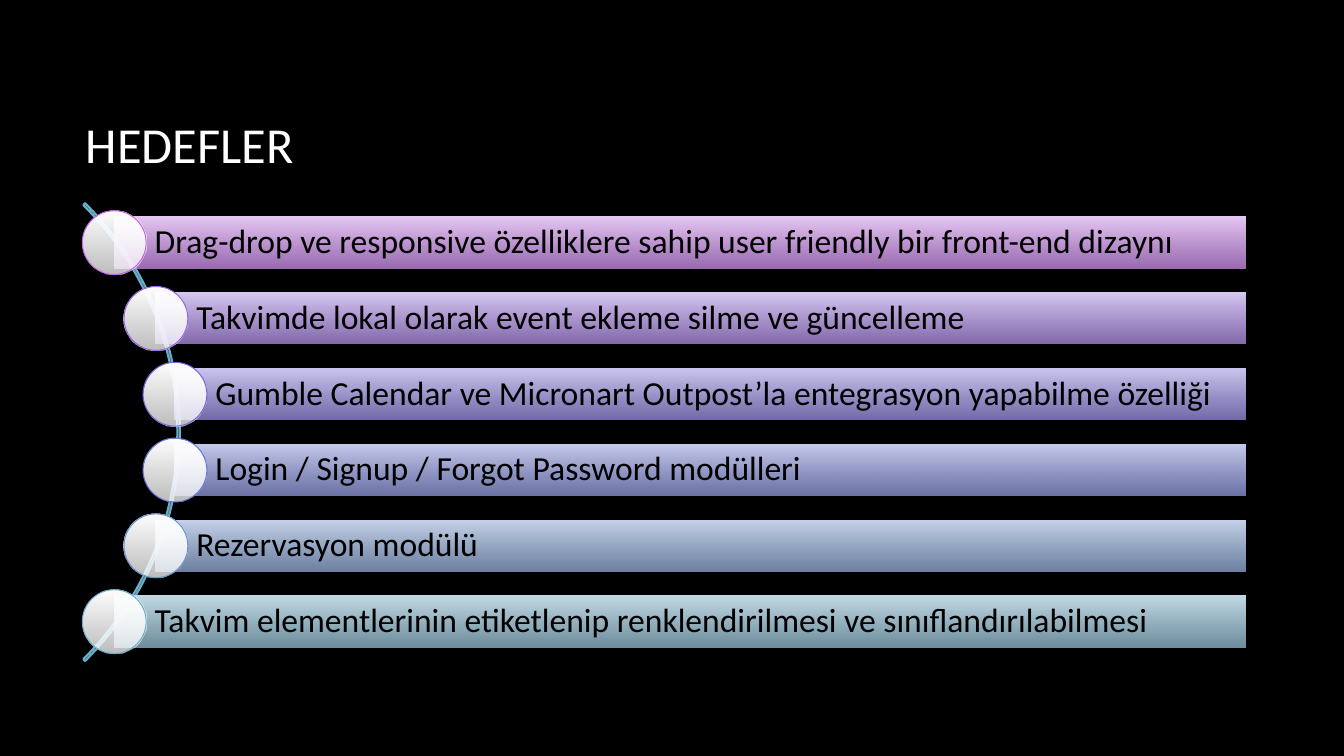
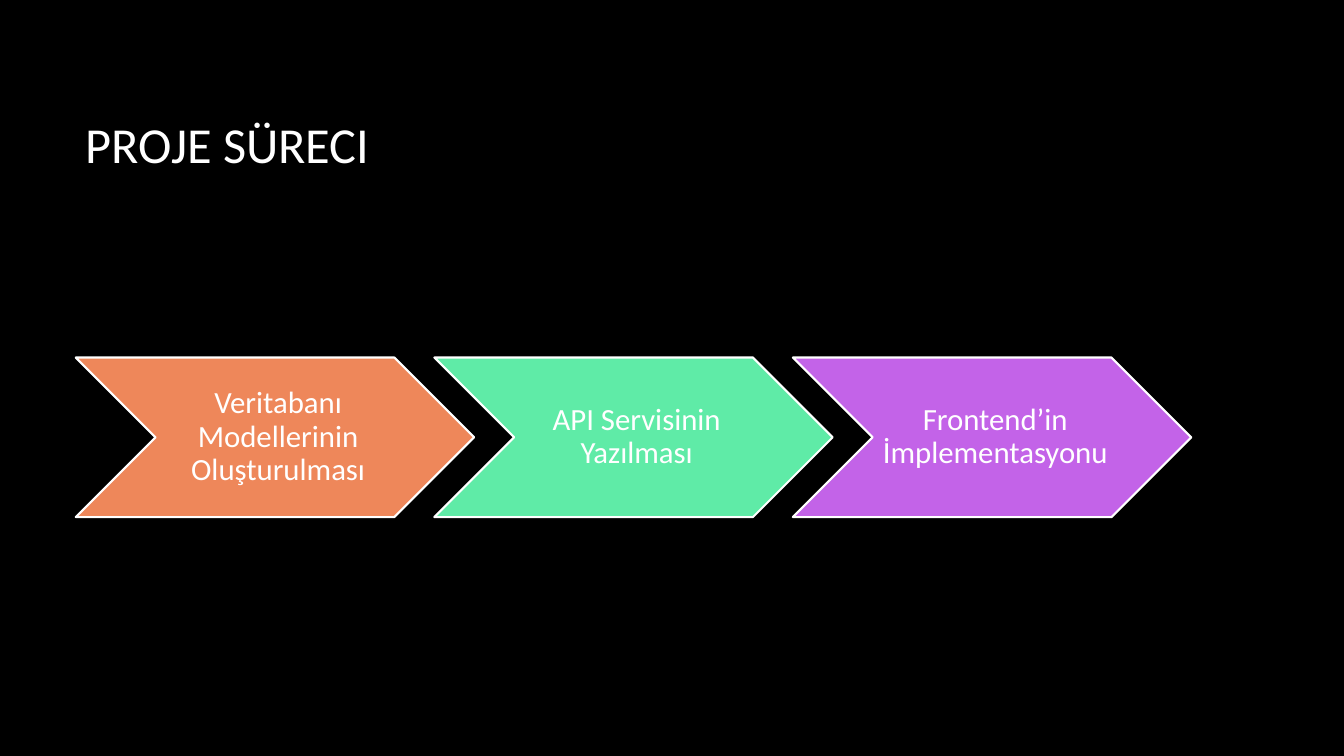
from lxml.etree import SubElement
from pptx import Presentation
from pptx.dml.color import RGBColor
from pptx.enum.shapes import MSO_SHAPE as Shape
from pptx.enum.text import MSO_ANCHOR as Anchor, PP_ALIGN as Align
from pptx.oxml.ns import qn
from pptx.util import Cm, Pt

FONT = "Calibri"
BLACK = RGBColor(0x00, 0x00, 0x00)
WHITE = RGBColor(0xFF, 0xFF, 0xFF)
ARC_BLUE = RGBColor(0x6A, 0xAD, 0xC8)
ORANGE = RGBColor(0xEE, 0x87, 0x5A)
GREEN = RGBColor(0x5F, 0xEB, 0xA7)
PURPLE = RGBColor(0xC3, 0x63, 0xE8)

GOALS_TITLE = "HEDEFLER"
# text, left edge of the bar in cm, bar top colour, bar bottom colour, dot outline
GOALS = [
    ("Drag-drop ve responsive özelliklere sahip user friendly bir front-end dizaynı",
     2.88, RGBColor(0xE7, 0xCA, 0xF5), RGBColor(0xCF, 0x91, 0xEC), PURPLE),
    ("Takvimde lokal olarak event ekleme silme ve güncelleme",
     3.93, RGBColor(0xD8, 0xC9, 0xF3), RGBColor(0xB2, 0x91, 0xE8), RGBColor(0x9B, 0x64, 0xE2)),
    ("Gumble Calendar ve Micronart Outpost’la entegrasyon yapabilme özelliği",
     4.41, RGBColor(0xCC, 0xC7, 0xF0), RGBColor(0x9C, 0x92, 0xE3), RGBColor(0x77, 0x65, 0xDC)),
    ("Login / Signup / Forgot Password modülleri",
     4.41, RGBColor(0xC6, 0xCA, 0xED), RGBColor(0x93, 0x9B, 0xDE), RGBColor(0x66, 0x76, 0xD6)),
    ("Rezervasyon modülü",
     3.93, RGBColor(0xC6, 0xD3, 0xE9), RGBColor(0x94, 0xAE, 0xD9), RGBColor(0x68, 0x94, 0xCF)),
    ("Takvim elementlerinin etiketlenip renklendirilmesi ve sınıflandırılabilmesi",
     2.88, RGBColor(0xC5, 0xDB, 0xE6), RGBColor(0x95, 0xBF, 0xD3), ARC_BLUE),
]

PROCESS_TITLE = "PROJE SÜRECI"
STEPS = [
    ("Veritabanı Modellerinin Oluşturulması", ORANGE),
    ("API Servisinin Yazılması", GREEN),
    ("Frontend’in İmplementasyonu", PURPLE),
]

# Lengths in cm
MARGIN_LEFT = 1.91
BAR_TOP, BAR_HEIGHT, BAR_PITCH, BAR_RIGHT = 5.47, 1.29, 1.91, 31.4
DOT_SIZE = 1.61
ARC_CENTRE_X, ARC_SIZE = -3.62, 16.31
STEP_TOP, STEP_WIDTH, STEP_HEIGHT = 9.01, 10.04, 4.02
STEP_PITCH = 0.9 * STEP_WIDTH


def write(shape, text, size, color, align=Align.LEFT, insets=(0.25, 0.13, 0.25, 0.13)):
    """Put one paragraph in the shape; insets are left, top, right, bottom in cm."""
    frame = shape.text_frame
    frame.word_wrap = True
    frame.vertical_anchor = Anchor.MIDDLE
    (frame.margin_left, frame.margin_top,
     frame.margin_right, frame.margin_bottom) = map(Cm, insets)
    para = frame.paragraphs[0]
    para.text = text
    para.alignment = align
    para.line_spacing = 0.9
    para.font.name, para.font.size = FONT, Pt(size)
    para.font.color.rgb = color


def add_page(deck, title):
    page = deck.slides.add_slide(deck.slide_layouts[6])
    page.background.fill.solid()
    page.background.fill.fore_color.rgb = BLACK
    box = page.shapes.add_textbox(Cm(MARGIN_LEFT), Cm(1.7), Cm(28.14), Cm(4.04))
    write(box, title, 36, WHITE)
    return page


def add_outlined(page, kind, left, top, width, height, line=None, line_width=0.75):
    """Add an unfilled preset shape, lengths in cm, with an optional outline."""
    shape = page.shapes.add_shape(kind, Cm(left), Cm(top), Cm(width), Cm(height))
    shape.shadow.inherit = False
    shape.fill.background()
    if line is None:
        shape.line.fill.background()
    else:
        shape.line.color.rgb = line
        shape.line.width = Pt(line_width)
    return shape


def fill_downward(shape, top_color, bottom_color):
    """Fade from a solid top colour to a bottom colour of 74 % opacity."""
    shape.fill.gradient()
    shape.fill.gradient_angle = 270
    for stop, color in zip(shape.fill.gradient_stops, (top_color, bottom_color)):
        stop.color.rgb = color
    bottom = shape.element.spPr.findall(".//" + qn("a:srgbClr"))[1]
    SubElement(bottom, qn("a:alpha"), val="74000")


def build_goals(deck):
    page = add_page(deck, GOALS_TITLE)
    centre_y = BAR_TOP + BAR_HEIGHT / 2 + BAR_PITCH * (len(GOALS) - 1) / 2
    arc = add_outlined(page, Shape.BLOCK_ARC, ARC_CENTRE_X - ARC_SIZE / 2,
                       centre_y - ARC_SIZE / 2, ARC_SIZE, ARC_SIZE, ARC_BLUE, 1.5)
    for index, value in enumerate((189, 27, 0.004)):
        arc.adjustments[index] = value

    for row, (text, left, top_color, bottom_color, outline) in enumerate(GOALS):
        top = BAR_TOP + row * BAR_PITCH
        bar = add_outlined(page, Shape.RECTANGLE, left, top, BAR_RIGHT - left, BAR_HEIGHT)
        fill_downward(bar, top_color, bottom_color)
        write(bar, text, 24, BLACK, insets=(1.02, 0.17, 0.17, 0.17))
        dot = add_outlined(page, Shape.OVAL, left - DOT_SIZE / 2,
                           top + (BAR_HEIGHT - DOT_SIZE) / 2, DOT_SIZE, DOT_SIZE, outline)
        fill_downward(dot, WHITE, WHITE)


def build_process(deck):
    page = add_page(deck, PROCESS_TITLE)
    for column, (text, color) in enumerate(STEPS):
        step = add_outlined(page, Shape.CHEVRON, MARGIN_LEFT + column * STEP_PITCH,
                            STEP_TOP, STEP_WIDTH, STEP_HEIGHT, WHITE, 1.5)
        step.fill.solid()
        step.fill.fore_color.rgb = color
        write(step, text, 22, WHITE, Align.CENTER, (0.24, 0.08, 0.08, 0.08))


def main():
    deck = Presentation()
    deck.slide_width, deck.slide_height = Cm(33.87), Cm(19.05)
    build_goals(deck)
    build_process(deck)
    deck.save("out.pptx")


if __name__ == "__main__":
    main()
